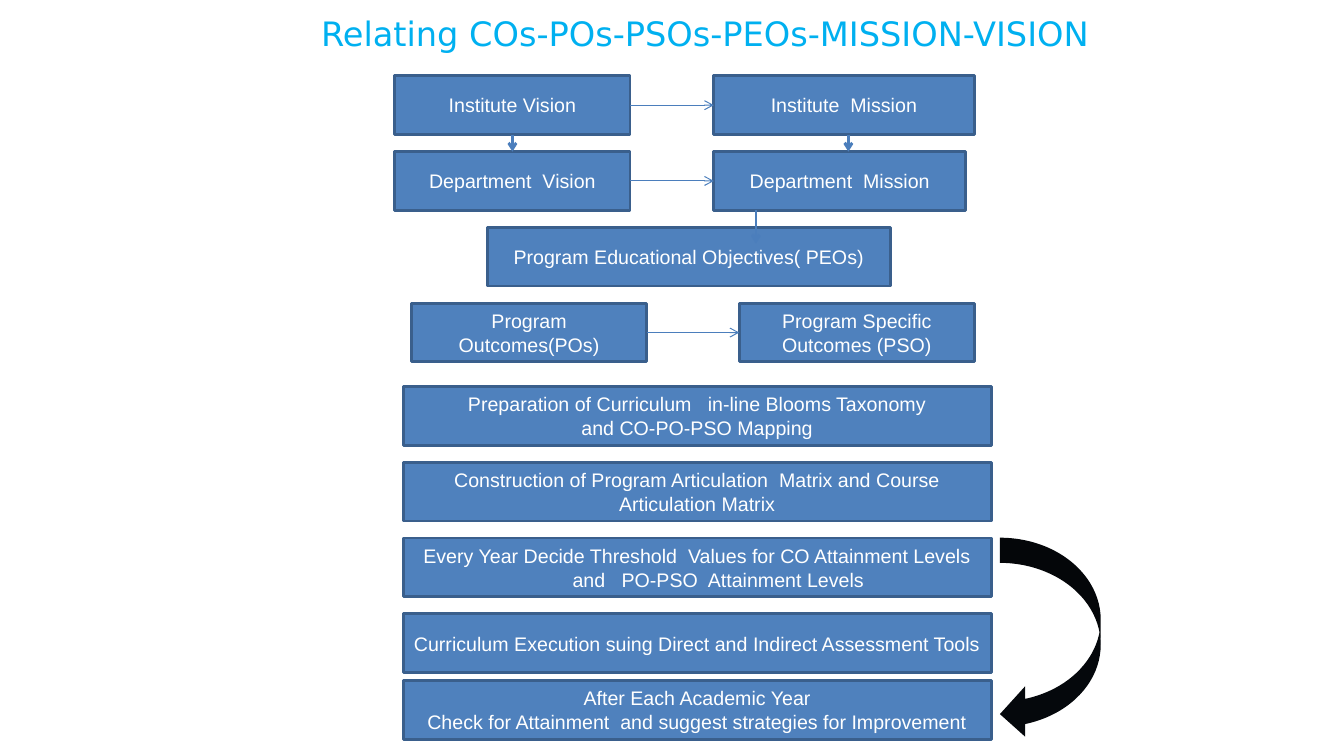
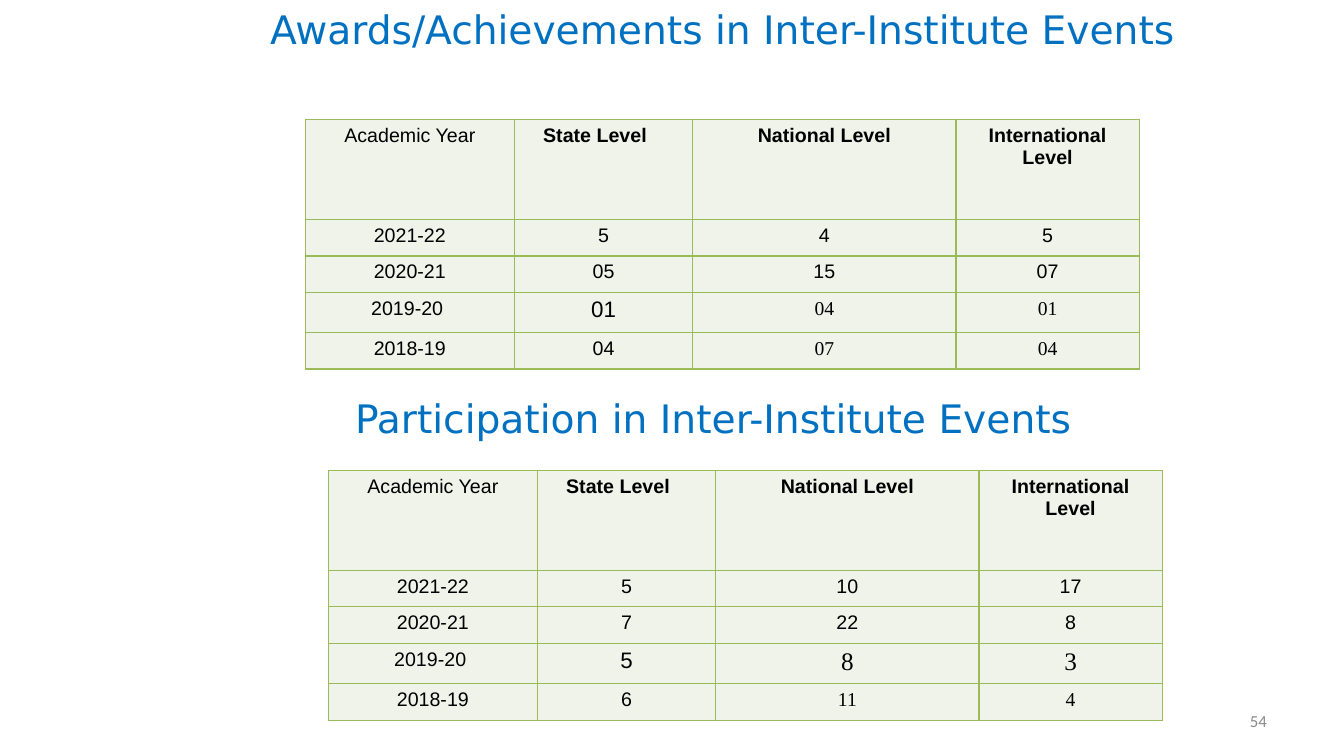
"""Builds two slides: the outcome mapping flow and the inter-institute event tables."""
from lxml import etree
from pptx import Presentation
from pptx.dml.color import RGBColor
from pptx.enum.shapes import MSO_CONNECTOR, MSO_SHAPE
from pptx.enum.text import MSO_ANCHOR, PP_ALIGN
from pptx.oxml.ns import qn
from pptx.util import Cm, Pt

STRAIGHT = MSO_CONNECTOR.STRAIGHT
RECTANGLE, LOOP_ARROW = MSO_SHAPE.RECTANGLE, MSO_SHAPE.CURVED_LEFT_ARROW
MIDDLE = MSO_ANCHOR.MIDDLE
CENTER, RIGHT = PP_ALIGN.CENTER, PP_ALIGN.RIGHT
TOP_SIDE, LEFT_SIDE, BOTTOM_SIDE, RIGHT_SIDE = range(4)

BOX_FILL, BOX_EDGE, ARROW_BLUE = "4F81BD", "3A5F8C", "4B7EBC"
LOOP_BLACK, WHITE, BLACK, GREY = "05080C", "FFFFFF", "000000", "888888"
FLOW_TITLE_BLUE, EVENTS_TITLE_BLUE = "00B0F0", "0070C0"
CELL_FILL, CELL_EDGE = "EFF3EA", "9BBB59"
TITLE_FONT, BODY_FONT, SERIF_FONT, NUMBER_FONT = "DejaVu Sans", "Arial", "Times New Roman", "Calibri"

PITCH, BOX_HEIGHT = 1.91, 1.48
STAGE_LEFT, STAGE_TOP, STAGE_WIDTH = 10.16, 9.74, 14.82
LAST_STAGE_TOP = 17.15

FLOW_TITLE = "Relating COs-POs-PSOs-PEOs-MISSION-VISION"
# name: (row, left, width, text)
GOALS = {
    "institute vision": (1, 9.95, 5.93, "Institute Vision"),
    "institute mission": (1, 17.99, 6.56, "Institute  Mission"),
    "department vision": (2, 9.95, 5.93, "Department  Vision"),
    "department mission": (2, 17.99, 6.35, "Department  Mission"),
    "objectives": (3, 12.28, 10.16, "Program Educational Objectives( PEOs)"),
    "outcomes": (4, 10.37, 5.93, "Program Outcomes(POs)"),
    "specific outcomes": (4, 18.63, 5.93, "Program Specific Outcomes (PSO)"),
}
STAGES = [
    ["Preparation of Curriculum   in-line Blooms Taxonomy", "and CO-PO-PSO Mapping"],
    ["Construction of Program Articulation  Matrix and Course Articulation Matrix"],
    ["Every Year Decide Threshold  Values for CO Attainment Levels",
     "and   PO-PSO  Attainment Levels"],
    ["Curriculum Execution suing Direct and Indirect Assessment Tools"],
    ["After Each Academic Year",
     "Check for Attainment  and suggest strategies for Improvement"],
]
THRESHOLD_STAGE, THRESHOLD_INDENT = 2, 1.07
JOINED_ARROWS = [
    ("institute vision", RIGHT_SIDE, "institute mission", LEFT_SIDE, 0.75),
    ("department vision", RIGHT_SIDE, "department mission", LEFT_SIDE, 0.75),
    ("outcomes", RIGHT_SIDE, "specific outcomes", LEFT_SIDE, 0.75),
    ("institute vision", BOTTOM_SIDE, "department vision", TOP_SIDE, 2),
]
MISSION_ARROWS = [(21.38, 3.39, 3.82), (19.05, 5.3, 6.14)]

HEADINGS = ["Academic Year", "State Level", "National Level", "International Level"]
YEARS = ["2021-22", "2020-21", "2019-20 ", "2018-19"]
COLUMN_WIDTHS = [5.26, 4.5, 6.63, 4.62]
ROW_HEIGHTS = [2.51, 0.92, 0.92, 1.01, 0.92]
CELL_SIDE, CELL_TOP, STATE_EXTRA = 0.33, 0.13, 0.43
EVENTS = [
    {"title": "Awards/Achievements in Inter-Institute Events", "title at": (2.82, 0),
     "table at": (7.7, 3.02), "serif size": 14,
     "counts": [("5", "4", "5"), ("05", "15", "07"), ("01", "04", "01"), ("04", "07", "04")]},
    {"title": "Participation in Inter-Institute Events", "title at": (2.59, 9.8),
     "table at": (8.28, 11.86), "serif size": 18,
     "counts": [("5", "10", "17"), ("7", "22", "8"), ("5", "8", "3"), ("6", "11", "4")]},
]
PAGE_NUMBER = "54"


def rgb(value):
    """Return a colour from its hex string."""
    return RGBColor.from_string(value)


def write(frame, lines, size, font, colour, align=CENTER, bold=False):
    """Write one paragraph per line into a text frame."""
    frame.word_wrap = True
    for index, line in enumerate(lines):
        paragraph = frame.add_paragraph() if index else frame.paragraphs[0]
        paragraph.alignment = align
        run = paragraph.add_run()
        run.text = line
        run.font.size, run.font.name, run.font.bold = Pt(size), font, bold
        run.font.color.rgb = rgb(colour)


def add_label(slide, bounds, text, size, font, colour, align=CENTER):
    """Add a line of free text and return its frame."""
    frame = slide.shapes.add_textbox(*map(Cm, bounds)).text_frame
    write(frame, [text], size, font, colour, align)
    return frame


def add_filled(slide, kind, bounds, fill, edge):
    """Add a flat preset shape with a 2 point outline."""
    shape = slide.shapes.add_shape(kind, *map(Cm, bounds))
    shape.shadow.inherit = False
    shape.fill.solid()
    shape.fill.fore_color.rgb = rgb(fill)
    shape.line.color.rgb = rgb(edge)
    shape.line.width = Pt(2)
    return shape


def add_box(slide, left, top, width, lines):
    """Add a blue box with centred white text."""
    box = add_filled(slide, RECTANGLE, (left, top, width, BOX_HEIGHT), BOX_FILL, BOX_EDGE)
    box.text_frame.vertical_anchor = MIDDLE
    write(box.text_frame, lines, 14, BODY_FONT, WHITE)
    return box


def add_arrow(slide, width, ends=(0, 0, 0, 0)):
    """Add a straight line with an open arrowhead at its end."""
    arrow = slide.shapes.add_connector(STRAIGHT, *map(Cm, ends))
    arrow.line.color.rgb = rgb(ARROW_BLUE)
    arrow.line.width = Pt(width)
    etree.SubElement(arrow.line._get_or_add_ln(), qn("a:tailEnd"), type="arrow")
    etree.SubElement(arrow._element.spPr, qn("a:effectLst"))
    return arrow


def style_cell(cell):
    """Give a table cell its borders, fill and insets."""
    properties = cell._tc.get_or_add_tcPr()
    for side in ("lnL", "lnR", "lnT", "lnB"):
        border = etree.SubElement(properties, qn("a:" + side), w=str(Pt(1)))
        solid = etree.SubElement(border, qn("a:solidFill"))
        etree.SubElement(solid, qn("a:srgbClr"), val=CELL_EDGE)
    cell.fill.solid()
    cell.fill.fore_color.rgb = rgb(CELL_FILL)
    cell.margin_left = cell.margin_right = Cm(CELL_SIDE)
    cell.margin_top = cell.margin_bottom = Cm(CELL_TOP)


def add_events(slide, event):
    """Add an event title and its table of counts by year."""
    add_label(slide, (*event["title at"], 30.76, 1.45), event["title"], 28,
              TITLE_FONT, EVENTS_TITLE_BLUE)
    rows = [HEADINGS] + [[year, *counts] for year, counts in zip(YEARS, event["counts"])]
    size = sum(COLUMN_WIDTHS), sum(ROW_HEIGHTS)
    table = slide.shapes.add_table(len(rows), len(HEADINGS),
                                   *map(Cm, (*event["table at"], *size))).table
    table.first_row = table.horz_banding = False
    for column, width in zip(table.columns, COLUMN_WIDTHS):
        column.width = Cm(width)
    special_sizes = {(3, 1): 16, (3, 2): event["serif size"], (3, 3): event["serif size"]}
    for r, (row, height) in enumerate(zip(rows, ROW_HEIGHTS)):
        table.rows[r].height = Cm(height)
        for c, text in enumerate(row):
            cell = table.cell(r, c)
            style_cell(cell)
            font = SERIF_FONT if r >= 3 and c >= 2 else BODY_FONT
            write(cell.text_frame, [text], special_sizes.get((r, c), 14), font, BLACK,
                  bold=r == 0 and c > 0)
    table.cell(0, 1).margin_right = Cm(CELL_SIDE + STATE_EXTRA)


def build_flow(slide):
    """Draw the flow from vision to attainment."""
    boxes = {name: add_box(slide, left, row * PITCH, width, [text])
             for name, (row, left, width, text) in GOALS.items()}
    tops = [STAGE_TOP + PITCH * step for step in range(len(STAGES) - 1)] + [LAST_STAGE_TOP]
    stages = [add_box(slide, STAGE_LEFT, top, STAGE_WIDTH, lines)
              for top, lines in zip(tops, STAGES)]
    second_line = stages[THRESHOLD_STAGE].text_frame.paragraphs[1]
    second_line._p.get_or_add_pPr().set("marL", str(Cm(THRESHOLD_INDENT)))
    for start, start_side, end, end_side, width in JOINED_ARROWS:
        arrow = add_arrow(slide, width)
        arrow.begin_connect(boxes[start], start_side)
        arrow.end_connect(boxes[end], end_side)
    for x, top, bottom in MISSION_ARROWS:
        add_arrow(slide, 2, (x, top, x, bottom))
    add_filled(slide, LOOP_ARROW, (25.2, 13.55, 2.54, 5.08), LOOP_BLACK, LOOP_BLACK).line.fill.background()
    add_label(slide, (5.92, 0.2, 23.7, 1.27), FLOW_TITLE, 24, TITLE_FONT, FLOW_TITLE_BLUE)


def main():
    """Build and save the presentation."""
    deck = Presentation()
    deck.slide_width, deck.slide_height = Cm(33.87), Cm(19.05)
    flow, events = (deck.slides.add_slide(deck.slide_layouts[6]) for _ in range(2))
    build_flow(flow)
    for event in EVENTS:
        add_events(events, event)
    number = add_label(events, (24.28, 17.65, 7.9, 1.02), PAGE_NUMBER, 12, NUMBER_FONT, GREY, RIGHT)
    number.vertical_anchor = MIDDLE
    deck.save("out.pptx")


if __name__ == "__main__":
    main()
